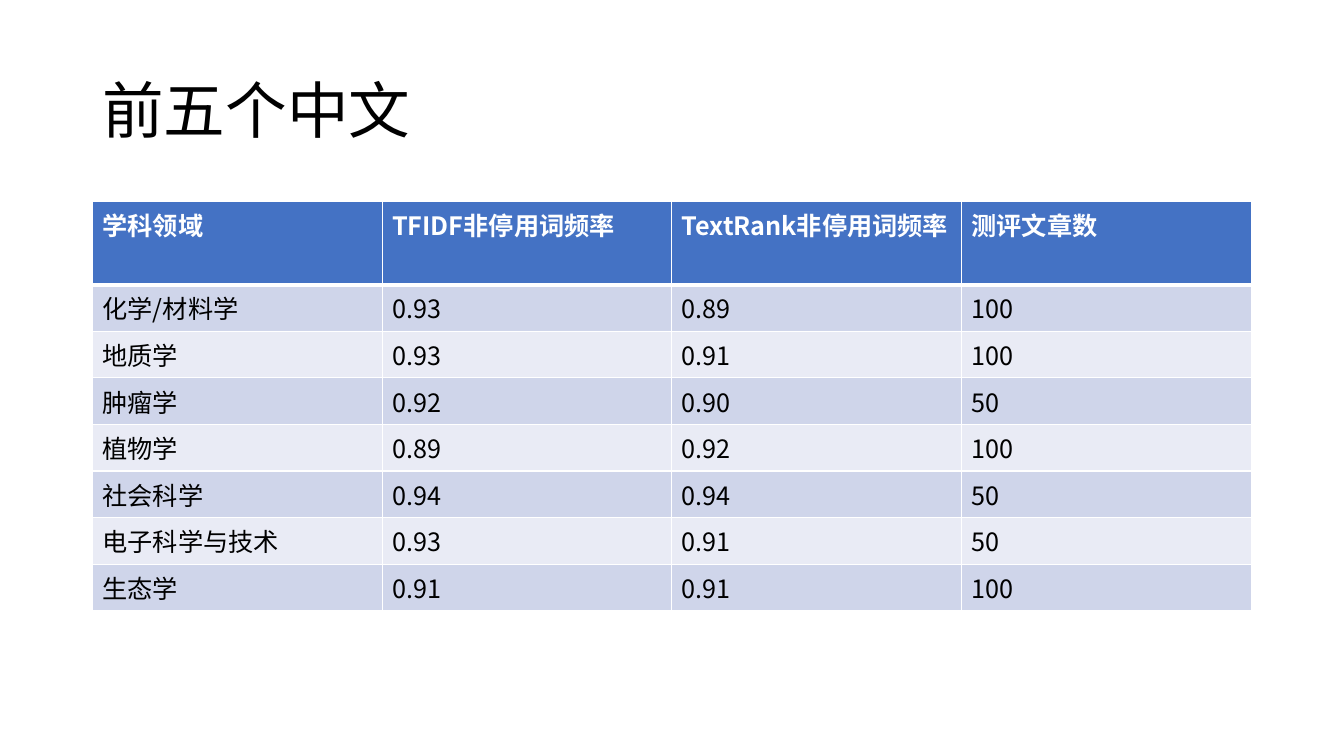
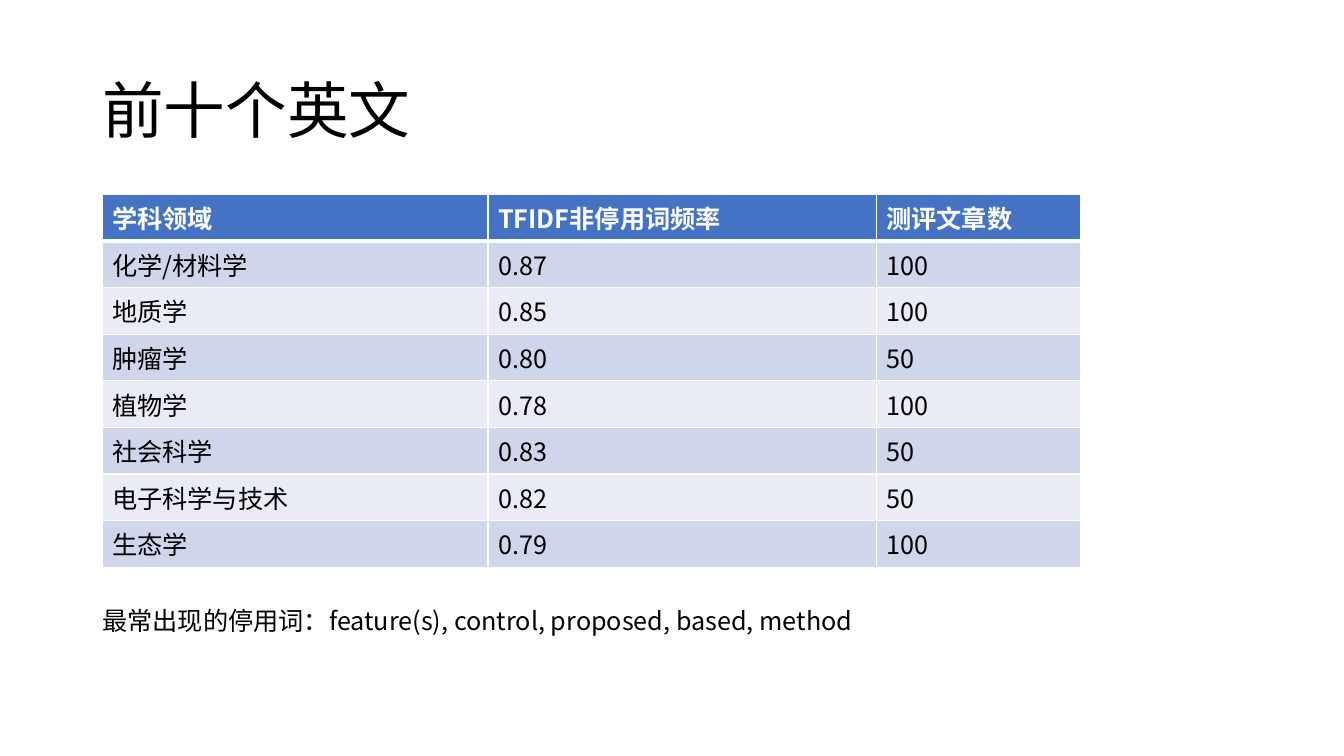
"""Build two slides that tabulate non-stopword rates by subject field."""
from dataclasses import dataclass
from typing import Any

from lxml import etree
from pptx import Presentation
from pptx.dml.color import RGBColor
from pptx.enum.text import MSO_ANCHOR, MSO_AUTO_SIZE
from pptx.oxml.ns import qn
from pptx.slide import Slide
from pptx.util import Cm, Pt

TOP = MSO_ANCHOR.TOP
MIDDLE = MSO_ANCHOR.MIDDLE
FIXED = MSO_AUTO_SIZE.NONE
GROW = MSO_AUTO_SIZE.SHAPE_TO_FIT_TEXT


@dataclass(frozen=True)
class Theme:
    """Colours, type sizes and rule widths shared by the slides."""
    ink: RGBColor = RGBColor.from_string("000000")
    paper: RGBColor = RGBColor.from_string("FFFFFF")
    header: RGBColor = RGBColor.from_string("4472C4")
    bands: tuple[RGBColor, RGBColor] = (
        RGBColor.from_string("CFD5EA"), RGBColor.from_string("E9EBF5"))
    font: str = "Noto Sans CJK SC"
    title_size: int = 44
    body_size: int = 18
    rule: int = 1
    header_rule: int = 3


@dataclass(frozen=True)
class Area:
    """A text area in centimetres with its size and frame format."""
    left: float
    top: float
    width: float
    height: float
    size: int
    frame: dict[str, Any]
    paragraph: dict[str, Any]


@dataclass(frozen=True)
class Results:
    """One slide of rates: title, table position, columns and closing note."""
    title: str
    left: float
    top: float
    widths: tuple[float, ...]
    rates: dict[str, tuple[str, ...]]
    note: str = ""


THEME = Theme()
ROW_HEIGHT = 1.03
TITLE = Area(2.33, 1.01, 29.21, 3.68, THEME.title_size,
             {"word_wrap": True, "auto_size": FIXED, "vertical_anchor": MIDDLE},
             {"line_spacing": 0.9})
NOTE = Area(2.33, 15.14, 20.52, ROW_HEIGHT, THEME.body_size,
            {"word_wrap": True, "auto_size": GROW, "vertical_anchor": TOP}, {})
FIELDS = ("化学/材料学", "地质学", "肿瘤学", "植物学", "社会科学", "电子科学与技术", "生态学")
ARTICLES = ("100", "100", "50", "100", "50", "50", "100")
RESULTS = (
    Results("前五个中文", 2.33, 5.08, (7.3,) * 4, {
        "TFIDF非停用词频率": ("0.93", "0.93", "0.92", "0.89", "0.94", "0.93", "0.91"),
        "TextRank非停用词频率": ("0.89", "0.91", "0.90", "0.92", "0.94", "0.91", "0.91"),
    }),
    Results("前十个英文", 2.57, 4.9, (9.73, 9.78, 5.16), {
        "TFIDF非停用词频率": ("0.87", "0.85", "0.80", "0.78", "0.83", "0.82", "0.79"),
    }, "最常出现的停用词：feature(s), control, proposed, based, method"),
)


def apply(target: Any, formats: dict[str, Any]) -> None:
    """Set every format value on the target."""
    for name, value in formats.items():
        setattr(target, name, value)


def write(paragraph: Any, text: str, size: int, colour: RGBColor,
          bold: bool = False) -> None:
    """Add a run in the theme font for Latin and East Asian text."""
    run = paragraph.add_run()
    run.text = text
    apply(run.font, {"name": THEME.font, "size": Pt(size), "bold": bold})
    run.font.color.rgb = colour
    east_asian = etree.SubElement(run.font._element, qn("a:ea"))
    east_asian.set("typeface", THEME.font)


def add_text(slide: Slide, area: Area, text: str) -> None:
    """Place text in the given area."""
    box = slide.shapes.add_textbox(
        Cm(area.left), Cm(area.top), Cm(area.width), Cm(area.height))
    apply(box.text_frame, area.frame)
    paragraph = box.text_frame.paragraphs[0]
    apply(paragraph, area.paragraph)
    write(paragraph, text, area.size, THEME.ink)


def rule_cell(cell: Any, top: int, bottom: int) -> None:
    """Draw the four cell borders ahead of the cell fill."""
    properties = cell._tc.get_or_add_tcPr()
    edges = {"L": THEME.rule, "R": THEME.rule, "T": top, "B": bottom}
    for position, (side, width) in enumerate(edges.items()):
        line = etree.Element(qn(f"a:ln{side}"), w=str(Pt(width)))
        fill = etree.SubElement(line, qn("a:solidFill"))
        etree.SubElement(fill, qn("a:srgbClr"), val=str(THEME.paper))
        properties.insert(position, line)


def add_results_table(slide: Slide, results: Results) -> None:
    """Tabulate the rates by field with a header and alternating bands."""
    columns = {"学科领域": FIELDS, **results.rates, "测评文章数": ARTICLES}
    rows = [tuple(columns), *zip(*columns.values())]
    table = slide.shapes.add_table(
        len(rows), len(columns), Cm(results.left), Cm(results.top),
        Cm(sum(results.widths)), Cm(ROW_HEIGHT * len(rows))).table
    for column, width in zip(table.columns, results.widths):
        column.width = Cm(width)
    for index, (row, values) in enumerate(zip(table.rows, rows)):
        row.height = Cm(ROW_HEIGHT)
        heading = index == 0
        fill = THEME.header if heading else THEME.bands[(index - 1) % 2]
        top = THEME.header_rule if index == 1 else THEME.rule
        bottom = THEME.header_rule if heading else THEME.rule
        for cell, value in zip(row.cells, values):
            cell.fill.solid()
            cell.fill.fore_color.rgb = fill
            rule_cell(cell, top, bottom)
            write(cell.text_frame.paragraphs[0], value, THEME.body_size,
                  THEME.paper if heading else THEME.ink, heading)


def main() -> None:
    """Build and save the presentation."""
    presentation = Presentation()
    apply(presentation, {"slide_width": Cm(33.87), "slide_height": Cm(19.05)})
    blank = presentation.slide_layouts[6]
    for results in RESULTS:
        slide = presentation.slides.add_slide(blank)
        add_text(slide, TITLE, results.title)
        add_results_table(slide, results)
        if results.note:
            add_text(slide, NOTE, results.note)
    presentation.save("out.pptx")


main()
